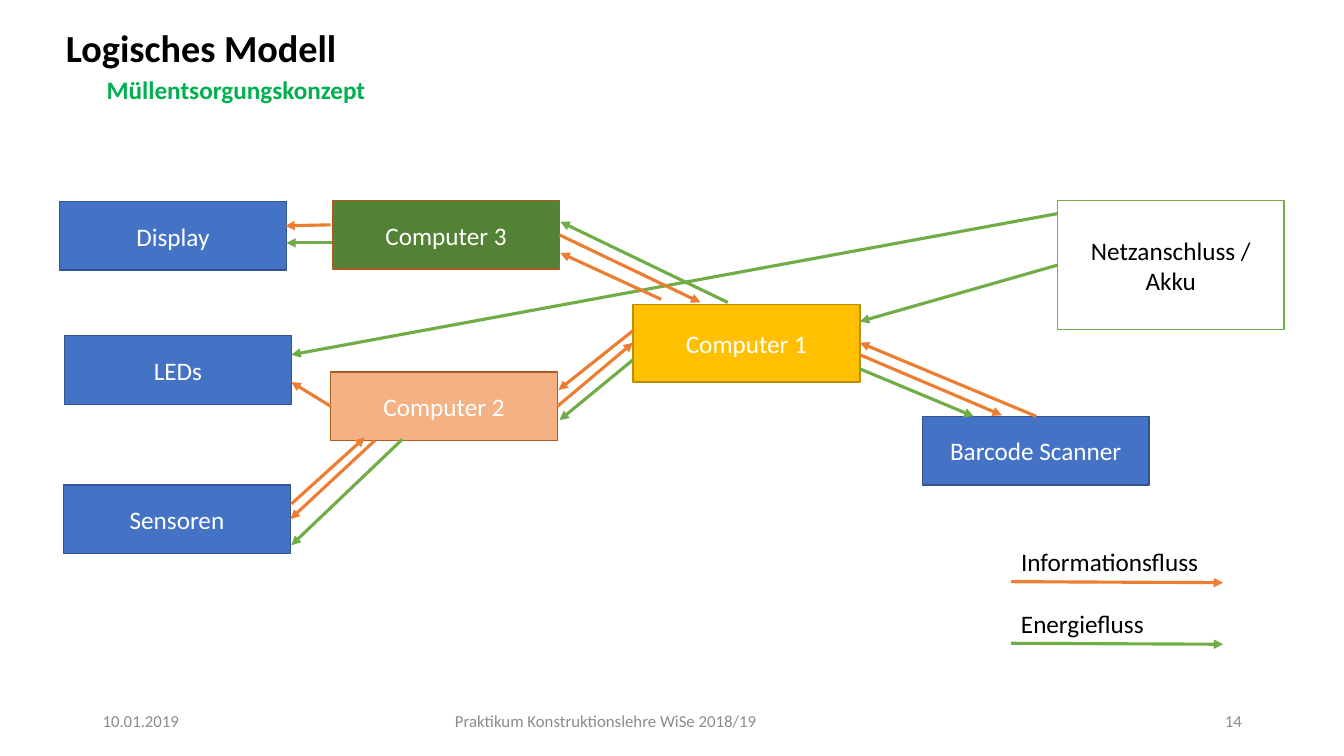
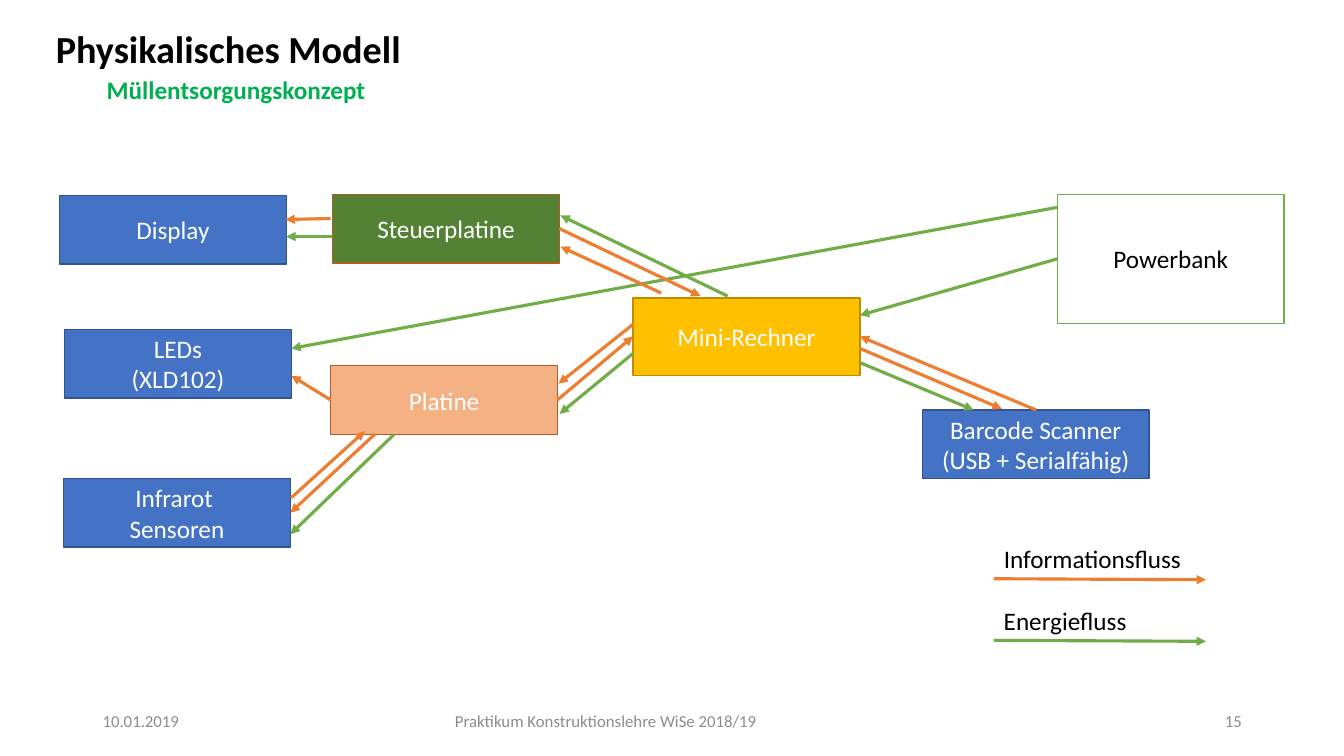
from dataclasses import dataclass

from lxml import etree
from pptx import Presentation
from pptx.dml.color import RGBColor
from pptx.enum.shapes import MSO_CONNECTOR, MSO_SHAPE
from pptx.enum.text import MSO_ANCHOR, PP_ALIGN
from pptx.oxml.ns import qn
from pptx.util import Pt

LEFT, CENTER, RIGHT = PP_ALIGN.LEFT, PP_ALIGN.CENTER, PP_ALIGN.RIGHT
TOP, MIDDLE, BOTTOM = MSO_ANCHOR.TOP, MSO_ANCHOR.MIDDLE, MSO_ANCHOR.BOTTOM
RECTANGLE = MSO_SHAPE.RECTANGLE
STRAIGHT = MSO_CONNECTOR.STRAIGHT


@dataclass(frozen=True)
class Theme:
    font: str = "Calibri"
    title_size: float = 27.3
    body_size: float = 18
    footer_size: float = 12
    outline: float = 1
    flow_width: float = 2.25
    black: str = "000000"
    white: str = "FFFFFF"
    subtitle: str = "00B050"
    footer: str = "8C8C8C"
    information: str = "ED7D31"
    energy: str = "70AD47"
    device: str = "4472C4"
    device_edge: str = "325491"
    main_computer: str = "FFC000"
    main_edge: str = "BD8E00"
    side_computer: str = "F4B183"
    display_computer: str = "548235"
    side_edge: str = "AF5C24"


THEME = Theme()
BOX_WIDTH, BOX_HEIGHT = 162, 49

# left, top, height, fill, edge, text colour
BOXES = {
    "display": (42.5, 144, BOX_HEIGHT, THEME.device, THEME.device_edge, THEME.white),
    "display_computer": (237.6, 143.3, BOX_HEIGHT, THEME.display_computer, THEME.side_edge, THEME.white),
    "main_computer": (452.2, 217.4, 55.4, THEME.main_computer, THEME.main_edge, THEME.white),
    "side_computer": (236.2, 265.7, BOX_HEIGHT, THEME.side_computer, THEME.side_edge, THEME.white),
    "leds": (46.1, 239.8, BOX_HEIGHT, THEME.device, THEME.device_edge, THEME.white),
    "sensors": (45.4, 346.3, BOX_HEIGHT, THEME.device, THEME.device_edge, THEME.white),
    "scanner": (658.8, 297.4, BOX_HEIGHT, THEME.device, THEME.device_edge, THEME.white),
    "power": (755.3, 143.3, 92.2, THEME.white, THEME.energy, THEME.black),
}

INFORMATION_FLOWS = [
    (740.2, 297.4, 614.2, 244.8),
    (614.2, 253.4, 715.7, 296.6),
    (452.2, 236.2, 398.9, 278.6),
    (398.2, 290.2, 452.2, 244.8),
    (208.1, 360, 260.6, 312.5),
    (267.8, 314.6, 207.4, 370.8),
    (236.2, 290.2, 208.1, 272.9),
    (236.2, 160.6, 203.8, 161.3),
    (472.3, 213.8, 400.3, 180.7),
    (399.6, 167.8, 500.4, 216),
]
ENERGY_FLOWS = [
    (755.3, 152.6, 208.1, 253.4),
    (755.3, 189.4, 614.2, 229.7),
    (614.2, 263.5, 695.5, 297.4),
    (452.2, 257, 399.6, 300.2),
    (236.9, 173.5, 204.5, 173.5),
    (519.8, 216, 400.3, 158.4),
]


@dataclass(frozen=True)
class Model:
    title: str
    title_at: tuple
    page: str
    labels: dict
    rise: float
    sensor_energy: tuple
    legend_at: tuple


MODELS = [
    Model(
        "Logisches Modell", (-4.3, 5), "14",
        {
            "display": "Display",
            "display_computer": "Computer 3",
            "main_computer": "Computer 1",
            "side_computer": "Computer 2",
            "leds": "LEDs",
            "sensors": "Sensoren",
            "scanner": "Barcode Scanner",
            "power": "Netzanschluss / Akku",
        },
        0, (287.3, 313.9, 208.1, 389.5), (722.2, 386.6),
    ),
    Model(
        "Physikalisches Modell", (15.1, 5.8), "15",
        {
            "display": "Display",
            "display_computer": "Steuerplatine",
            "main_computer": "Mini-Rechner",
            "side_computer": "Platine",
            "leds": "LEDs\n(XLD102)",
            "sensors": "Infrarot \nSensoren",
            "scanner": "Barcode Scanner\n(USB + Serialfähig)",
            "power": "Powerbank",
        },
        4.5, (281.5, 314.8, 207.4, 386.1), (709.9, 384.5),
    ),
]


def rgb(color):
    return RGBColor.from_string(color)


def write(frame, text, size, color, align=LEFT, anchor=TOP, bold=False, wrap=True):
    frame.word_wrap = wrap
    frame.vertical_anchor = anchor
    paragraph = frame.paragraphs[0]
    paragraph.alignment = align
    for index, line in enumerate(text.split("\n")):
        if index:
            paragraph.add_line_break()
        run = paragraph.add_run()
        run.text = line
        run.font.name = THEME.font
        run.font.size = Pt(size)
        run.font.bold = bold
        run.font.color.rgb = rgb(color)
    return paragraph


def add_text(slide, at, text, size, color, **style):
    label = slide.shapes.add_textbox(*map(Pt, at))
    return write(label.text_frame, text, size, color, **style)


def add_box(slide, at, text, fill, edge, color):
    box = slide.shapes.add_shape(RECTANGLE, *map(Pt, at))
    box.shadow.inherit = False
    box.fill.solid()
    box.fill.fore_color.rgb = rgb(fill)
    box.line.color.rgb = rgb(edge)
    box.line.width = Pt(THEME.outline)
    write(box.text_frame, text, THEME.body_size, color, align=CENTER, anchor=MIDDLE)


def add_flow(slide, ends, color, rise=0):
    x1, y1, x2, y2 = ends
    flow = slide.shapes.add_connector(
        STRAIGHT, Pt(x1), Pt(y1 - rise), Pt(x2), Pt(y2 - rise))
    flow.line.color.rgb = rgb(color)
    flow.line.width = Pt(THEME.flow_width)
    etree.SubElement(flow.line._get_or_add_ln(), qn("a:tailEnd"), type="triangle")
    etree.SubElement(flow._element.spPr, qn("a:effectLst"))


def add_heading(slide, title, title_at):
    heading = add_text(slide, (*title_at, 296, 49), title, THEME.title_size,
                       THEME.black, align=CENTER, anchor=BOTTOM, bold=True)
    heading.line_spacing = 0.9
    add_text(slide, (69.1, 49.7, 200.2, 29), "Müllentsorgungskonzept",
             THEME.body_size, THEME.subtitle, bold=True, wrap=False)


def add_footer(slide, page):
    for left, width, text, align in [
        (66.2, 216, "10.01.2019", LEFT),
        (193.7, 478, "Praktikum Konstruktionslehre WiSe 2018/19", CENTER),
        (678.2, 216, page, RIGHT),
    ]:
        add_text(slide, (left, 500.4, width, 28.8), text, THEME.footer_size,
                 THEME.footer, align=align, anchor=MIDDLE)


def add_legend(slide, left, top):
    entries = [("Informationsfluss", 142.6, THEME.information),
               ("Energiefluss", 103, THEME.energy)]
    for row, (text, width, color) in enumerate(entries):
        y = top + row * 44
        add_flow(slide, (left, y + 28.9, left + 151.5, y + 29.6), color)
        add_text(slide, (left, y, width, 29), text, THEME.body_size,
                 THEME.black, wrap=False)


def add_diagram(slide, model):
    for part, (left, top, height, fill, edge, color) in BOXES.items():
        add_box(slide, (left, top - model.rise, BOX_WIDTH, height),
                model.labels[part], fill, edge, color)
    for ends in [*ENERGY_FLOWS, model.sensor_energy]:
        add_flow(slide, ends, THEME.energy, model.rise)
    for ends in INFORMATION_FLOWS:
        add_flow(slide, ends, THEME.information, model.rise)


def main():
    deck = Presentation()
    deck.slide_width, deck.slide_height = Pt(960), Pt(540)
    for model in MODELS:
        slide = deck.slides.add_slide(deck.slide_layouts[6])
        add_heading(slide, model.title, model.title_at)
        add_diagram(slide, model)
        add_legend(slide, *model.legend_at)
        add_footer(slide, model.page)
    deck.save("out.pptx")


if __name__ == "__main__":
    main()
